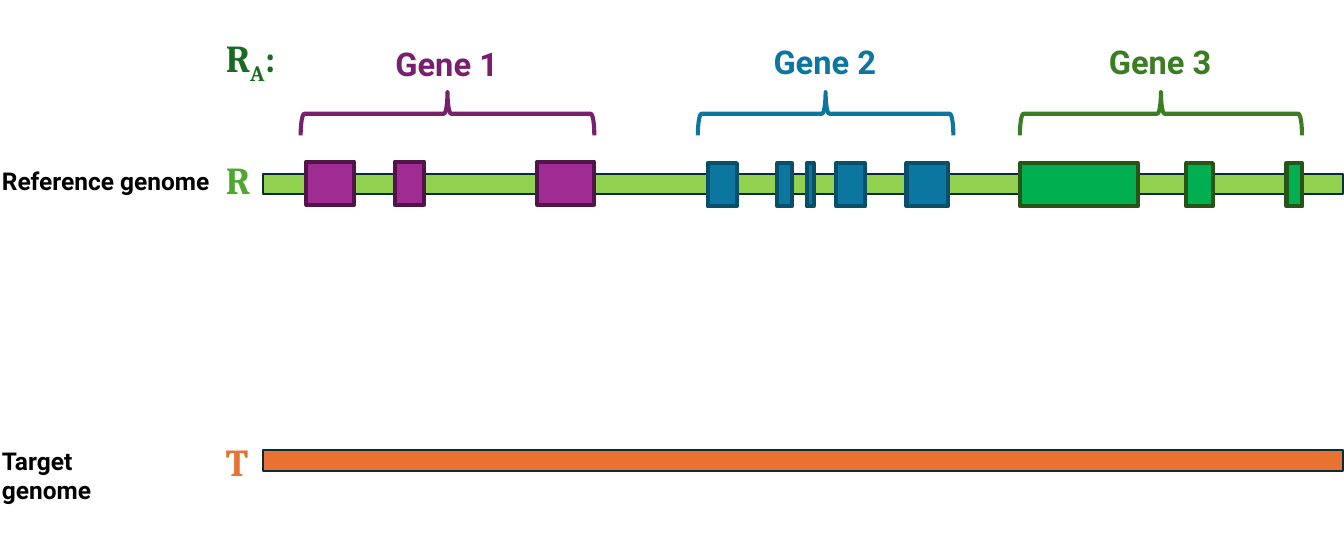
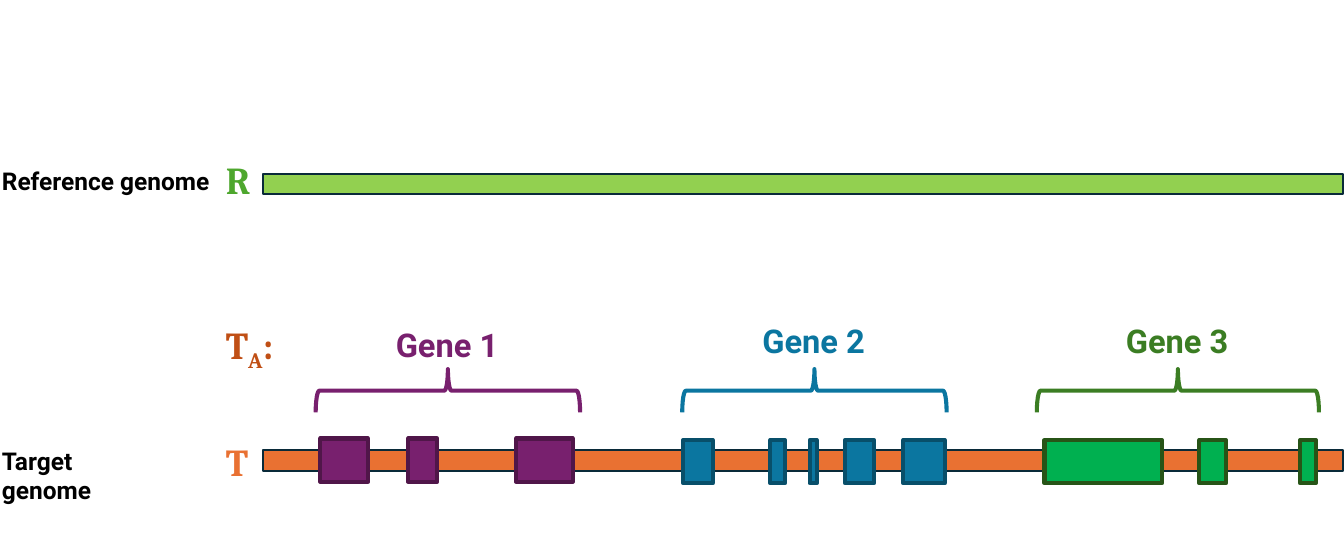
from dataclasses import dataclass

from pptx import Presentation
from pptx.dml.color import RGBColor
from pptx.enum import shapes, text
from pptx.util import Cm, Pt


@dataclass(frozen=True)
class Theme:
    sans: str = "Roboto"
    serif: str = "Cambria"
    name_size: int = 18
    gene_size: int = 24
    symbol_size: int = 28
    bar_line: float = 1.5
    gene_line: float = 3
    black: str = "000000"
    bar_edge: str = "092A39"
    reference: str = "92D050"
    reference_symbol: str = "4EA72E"
    reference_annotation: str = "196B24"
    target: str = "E97132"
    target_annotation: str = "C04F15"
    purple: str = "78206E"
    light_purple: str = "A02B93"
    purple_edge: str = "501649"
    blue: str = "0B76A0"
    blue_edge: str = "084F6A"
    green: str = "3B7D23"
    bright_green: str = "00B050"
    green_edge: str = "275417"


THEME = Theme()

# All lengths are centimetres.
SLIDE_SIZE = (34.87, 14.0)
BAR_LEFT, BAR_WIDTH, BAR_HEIGHT = 6.83, 28.02, 0.53
EXON_HEIGHT = BRACE_DEPTH = 1.12
BRACE_LIFT = 1.55  # from the brace's centre down to the bar's top
NAME_LEFT, SYMBOL_LEFT = -0.2, 5.61
GENE_LABEL_WIDTH = 3.2

GENOMES = {
    "R": dict(name="Reference genome", name_width=5.97, name_top=4.19, wrap=False,
              bar_top=4.5, symbol_top=3.94, fill=THEME.reference,
              symbol_color=THEME.reference_symbol),
    "T": dict(name="Target genome", name_width=4.75, name_top=11.43, wrap=True,
              bar_top=11.68, symbol_top=11.23, fill=THEME.target,
              symbol_color=THEME.target),
}

GENES = {
    "Gene 1": dict(color=THEME.purple, edge=THEME.purple_edge, exon_lift=0.31,
                   widths=(1.24, 0.76, 1.47)),
    "Gene 2": dict(color=THEME.blue, edge=THEME.blue_edge, exon_lift=0.27,
                   widths=(0.76, 0.38, 0.18, 0.76, 1.07)),
    "Gene 3": dict(color=THEME.green, edge=THEME.green_edge, exon_lift=0.27,
                   widths=(3.05, 0.69, 0.41)),
}

# One slide each: the annotated genome and where its genes lie.
ANNOTATIONS = [
    dict(genome="R", top=0.76, color=THEME.reference_annotation, genes={
        "Gene 1": dict(label_top=1.02, center=11.61, span=7.62,
                       fill=THEME.light_purple, lefts=(7.95, 10.24, 13.94)),
        "Gene 2": dict(label_top=0.97, center=21.42, span=6.63, fill=THEME.blue,
                       lefts=(18.36, 20.17, 20.93, 21.69, 23.52)),
        "Gene 3": dict(label_top=0.97, center=30.12, span=7.32,
                       fill=THEME.bright_green, lefts=(26.47, 30.78, 33.38)),
    }),
    dict(genome="T", top=8.2, color=THEME.target_annotation, genes={
        "Gene 1": dict(label_top=8.31, center=11.62, span=6.86,
                       fill=THEME.purple, lefts=(8.31, 10.59, 13.39)),
        "Gene 2": dict(label_top=8.2, center=21.13, span=6.86, fill=THEME.blue,
                       lefts=(17.73, 19.99, 21.01, 21.92, 23.44)),
        "Gene 3": dict(label_top=8.2, center=30.56, span=7.32,
                       fill=THEME.bright_green, lefts=(27.1, 31.12, 33.73)),
    }),
]


def add_text(slide, parts, left, top, width, height, *, size, color,
             font=THEME.sans, wrap=False):
    """Add bold text; parts holds (wording, is_subscript) pairs."""
    box = slide.shapes.add_textbox(Cm(left), Cm(top), Cm(width), Cm(height))
    frame = box.text_frame
    frame.word_wrap = wrap
    frame.auto_size = text.MSO_AUTO_SIZE.SHAPE_TO_FIT_TEXT
    for wording, is_subscript in parts:
        run = frame.paragraphs[0].add_run()
        run.text = wording
        run.font.name = font
        run.font.size = Pt(size)
        run.font.bold = True
        run.font.color.rgb = RGBColor.from_string(color)
        if is_subscript:
            run._r.get_or_add_rPr().set("baseline", "-25000")


def add_outlined(slide, kind, left, top, width, height, *, edge, line, fill=None):
    shape = slide.shapes.add_shape(kind, Cm(left), Cm(top), Cm(width), Cm(height))
    shape.shadow.inherit = False
    if fill:
        shape.fill.solid()
        shape.fill.fore_color.rgb = RGBColor.from_string(fill)
    else:
        shape.fill.background()
    shape.line.color.rgb = RGBColor.from_string(edge)
    shape.line.width = Pt(line)
    return shape


def add_genome(slide, symbol, genome):
    add_outlined(slide, shapes.MSO_SHAPE.RECTANGLE, BAR_LEFT, genome["bar_top"],
                 BAR_WIDTH, BAR_HEIGHT, fill=genome["fill"], edge=THEME.bar_edge,
                 line=THEME.bar_line)
    add_text(slide, [(genome["name"], False)], NAME_LEFT, genome["name_top"],
             genome["name_width"], 1.02, size=THEME.name_size, color=THEME.black,
             wrap=genome["wrap"])
    add_text(slide, [(symbol, False)], SYMBOL_LEFT, genome["symbol_top"], 1.1, 1.45,
             size=THEME.symbol_size, color=genome["symbol_color"], font=THEME.serif)


def add_gene(slide, label, place, bar_top):
    gene = GENES[label]
    for left, width in zip(place["lefts"], gene["widths"]):
        add_outlined(slide, shapes.MSO_SHAPE.RECTANGLE, left,
                     bar_top - gene["exon_lift"], width, EXON_HEIGHT,
                     fill=place["fill"], edge=gene["edge"], line=THEME.gene_line)

    # The upright brace is turned about its centre to lie over the exons.
    brace = add_outlined(slide, shapes.MSO_SHAPE.LEFT_BRACE,
                         place["center"] - BRACE_DEPTH / 2,
                         bar_top - BRACE_LIFT - place["span"] / 2,
                         BRACE_DEPTH, place["span"],
                         edge=gene["color"], line=THEME.gene_line)
    brace.rotation = 90
    add_text(slide, [(label, False)], place["center"] - GENE_LABEL_WIDTH / 2,
             place["label_top"], GENE_LABEL_WIDTH, 1.27,
             size=THEME.gene_size, color=gene["color"])


def add_annotation_slide(deck, annotation):
    slide = deck.slides.add_slide(deck.slide_layouts[6])
    for symbol, genome in GENOMES.items():
        add_genome(slide, symbol, genome)
    symbol = annotation["genome"]
    for label, place in annotation["genes"].items():
        add_gene(slide, label, place, GENOMES[symbol]["bar_top"])
    add_text(slide, [(symbol, False), ("A", True), (":", False)], SYMBOL_LEFT,
             annotation["top"], 1.8, 1.45, size=THEME.symbol_size,
             color=annotation["color"], font=THEME.serif)


def main():
    deck = Presentation()
    deck.slide_width, deck.slide_height = map(Cm, SLIDE_SIZE)
    for annotation in ANNOTATIONS:
        add_annotation_slide(deck, annotation)
    deck.save("out.pptx")


if __name__ == "__main__":
    main()
